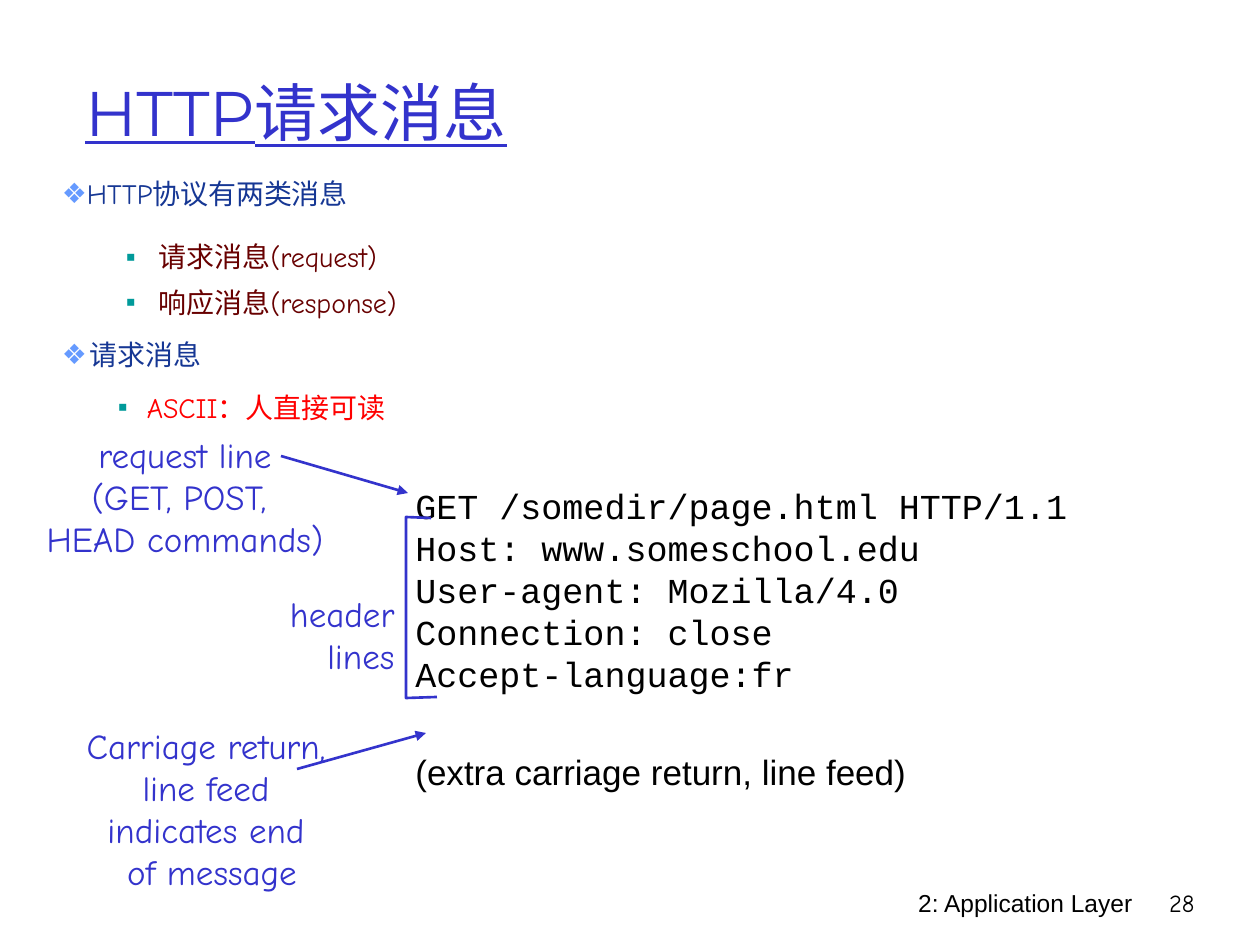
"""Build the slide on HTTP request messages."""
import pptx
import pptx.dml.color
import pptx.enum.shapes
import pptx.enum.text
import pptx.oxml
import pptx.oxml.ns
import pptx.util

PX = 914400 / 126
BLUE = pptx.dml.color.RGBColor(0x33, 0x33, 0xCC)
BLACK = pptx.dml.color.RGBColor(0, 0, 0)
SKY = pptx.dml.color.RGBColor(0x65, 0x9A, 0xFF)
NAVY = pptx.dml.color.RGBColor(0x16, 0x37, 0x94)
TEAL = pptx.dml.color.RGBColor(0x00, 0x9A, 0x9A)
MAROON = pptx.dml.color.RGBColor(0x68, 0, 0)
RED = pptx.dml.color.RGBColor(0xFF, 0, 0)
ALIGN = pptx.enum.text.PP_ALIGN
ANCHOR = pptx.enum.text.MSO_ANCHOR

deck = pptx.Presentation()
deck.slide_width = round(1260 * PX)
deck.slide_height = round(945 * PX)
slide = deck.slides.add_slide(deck.slide_layouts[6])


def write(text, box, size=20, font="Comic Neue", color=BLUE, align=ALIGN.LEFT,
          leading=None, wrap=False, underline=False, anchor=ANCHOR.TOP):
    frame = slide.shapes.add_textbox(*(round(v * PX) for v in box)).text_frame
    frame.word_wrap = wrap
    frame.vertical_anchor = anchor
    for number, line in enumerate(text.split("\n")):
        paragraph = frame.add_paragraph() if number else frame.paragraphs[0]
        paragraph.alignment = align
        if leading:
            paragraph.line_spacing = pptx.util.Pt(leading)
        run = paragraph.add_run()
        run.text = line
        run.font.size = pptx.util.Pt(size)
        run.font.name = font
        run.font.color.rgb = color
        run.font.underline = underline
    return frame


write("2: Application Layer", (746, 882, 399, 63), size=14, font="Arial",
      color=BLACK, align=ALIGN.RIGHT, wrap=True)
write("28", (1144, 882, 63, 63), size=14, color=BLACK, align=ALIGN.RIGHT, wrap=True)
write("HTTP请求消息", (73, 32, 1071, 158), size=36, font="Montserrat",
      underline=True, wrap=True, anchor=ANCHOR.MIDDLE)

message = write(
    "GET /somedir/page.html HTTP/1.1\nHost: www.someschool.edu\n"
    "User-agent: Mozilla/4.0\nConnection: close\nAccept-language:fr\n"
    "(extra carriage return, line feed)",
    (403, 478, 683, 326), font="Courier New", color=BLACK, leading=24)
extra_line = message.paragraphs[-1]
extra_line.space_before = pptx.util.Pt(32)
extra_line.runs[0].font.name = "Arial"

write("request line\n(GET, POST, \nHEAD commands)", (29, 427, 312, 139),
      align=ALIGN.CENTER, leading=24)
write("header\nlines", (267, 586, 140, 97), align=ALIGN.RIGHT, leading=24)
write("Carriage return, \nline feed \nindicates end \nof message",
      (62, 718, 300, 180), align=ALIGN.CENTER, leading=24)

for x1, y1, x2, y2 in ((281, 456, 408, 493), (297, 769, 426, 733)):
    arrow = slide.shapes.add_connector(
        pptx.enum.shapes.MSO_CONNECTOR.STRAIGHT,
        *(round(v * PX) for v in (x1, y1, x2, y2)))
    arrow.line.color.rgb = BLUE
    arrow.line.width = pptx.util.Pt(1.5)
    pptx.oxml.ns.qn("a:ln")
    line_xml = arrow.line._get_or_add_ln()
    line_xml.append(pptx.oxml.parse_xml(
        f'<a:tailEnd {pptx.oxml.ns.nsdecls("a")} type="triangle"/>'))
    arrow._element.spPr.append(pptx.oxml.parse_xml(
        f'<a:effectLst {pptx.oxml.ns.nsdecls("a")}/>'))

outline = slide.shapes.build_freeform(431, 518, scale=PX)
outline.add_line_segments([(406, 517), (406, 698), (437, 697)], close=False)
bracket = outline.convert_to_shape()
bracket.shadow.inherit = False
bracket.fill.background()
bracket.line.color.rgb = BLUE
bracket.line.width = pptx.util.Pt(1.5)

points = (
    ("❖", SKY, NAVY, 25, 25, 38),
    ("▪", TEAL, MAROON, 97, 33, 33),
    ("▪", TEAL, MAROON, 97, 33, 23),
    ("❖", SKY, NAVY, 28, 28, 27),
    ("▪", TEAL, RED, 85, 29, 27),
)
overview = write(
    "HTTP协议有两类消息\n请求消息(request)\n响应消息(response)\n请求消息\nASCII：人直接可读",
    (62, 144, 716, 295), size=16, wrap=True)
overview.margin_left = overview.margin_right = overview.margin_top = 0
for number, (paragraph, point) in enumerate(zip(overview.paragraphs, points)):
    mark, mark_color, color, indent, hang, leading = point
    paragraph.line_spacing = pptx.util.Pt(leading)
    if number:
        paragraph.space_before = pptx.util.Pt(3)
    paragraph.runs[0].font.color.rgb = color
    properties = paragraph._p.get_or_add_pPr()
    properties.set("marL", str(round(indent * PX)))
    properties.set("indent", str(round(-hang * PX)))
    for bullet in (f'<a:buClr {{}}><a:srgbClr val="{mark_color}"/></a:buClr>',
                   '<a:buFont {} typeface="Arial"/>',
                   f'<a:buChar {{}} char="{mark}"/>'):
        properties.append(pptx.oxml.parse_xml(
            bullet.format(pptx.oxml.ns.nsdecls("a"))))

deck.save("out.pptx")
